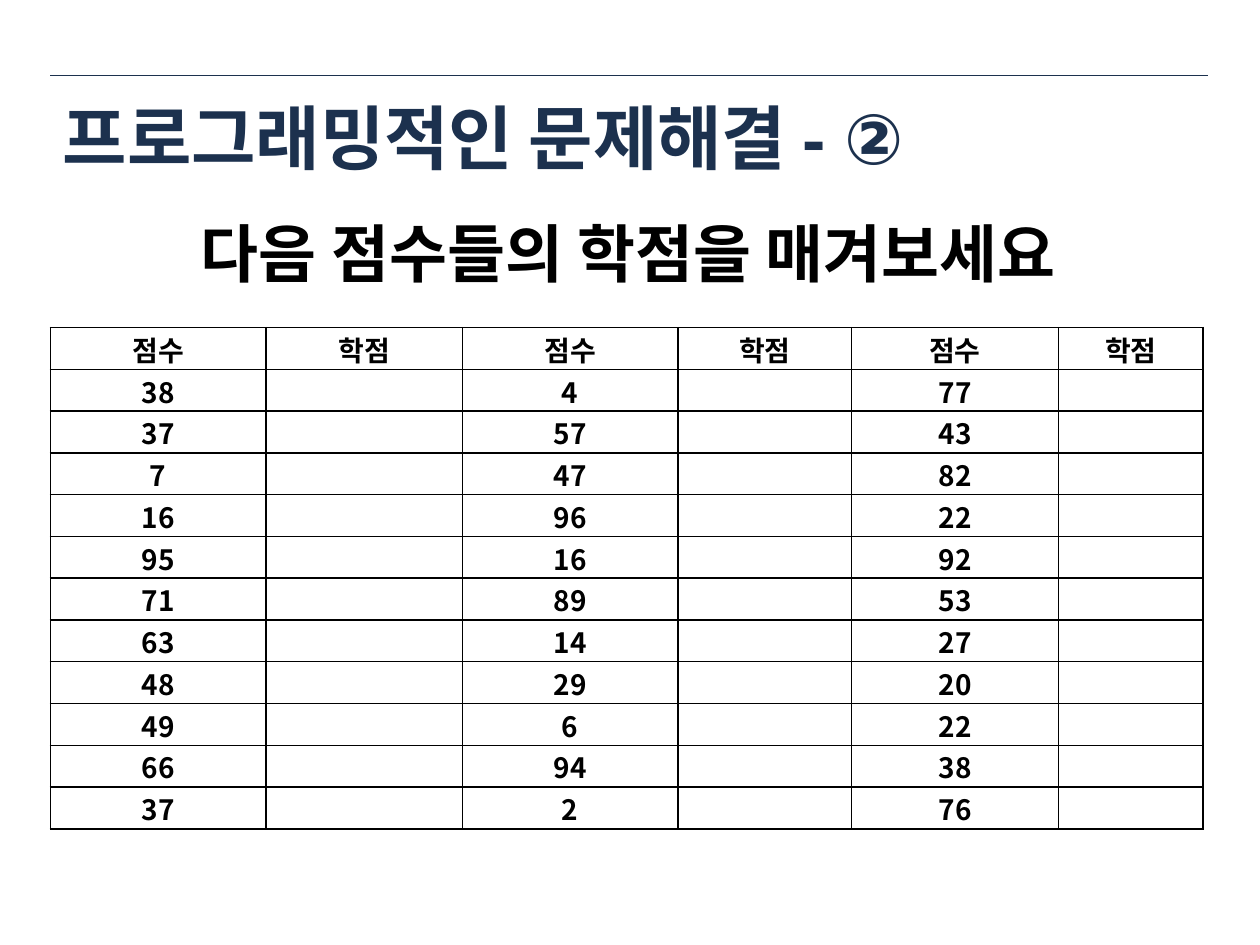
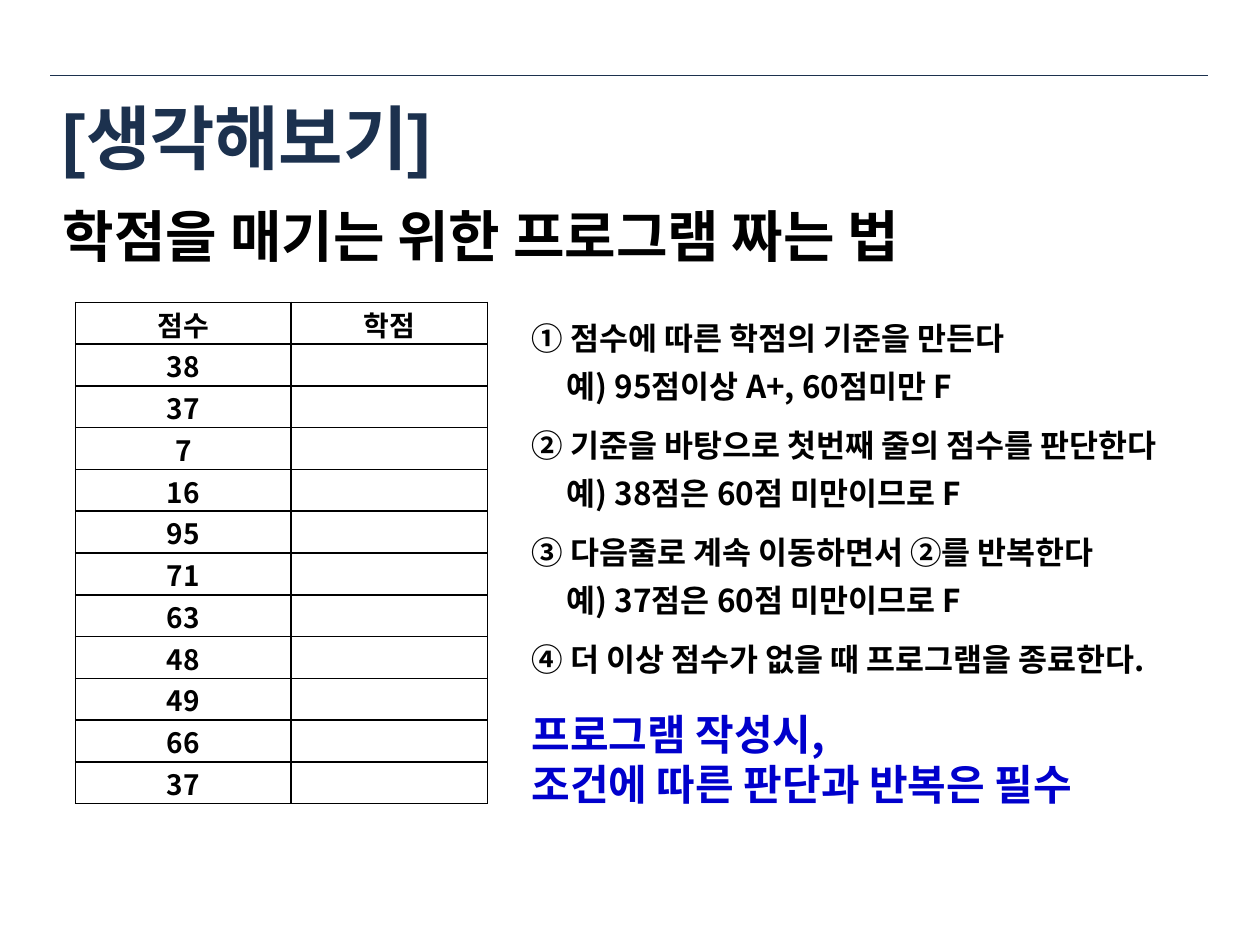
"""Builds two slides about grading a list of scores."""
from lxml.etree import SubElement
from pptx import Presentation
from pptx.dml.color import RGBColor
from pptx.enum.shapes import MSO_CONNECTOR as Link
from pptx.enum.text import MSO_ANCHOR as Anchor, PP_ALIGN as Align
from pptx.oxml.ns import qn
from pptx.util import Inches, Pt

NAVY, BLACK, BLUE = "1C314E", "000000", "0000CC"
SANS = "Noto Sans CJK KR"
LEFT, WIDE, ROW = 0.4, 9.18, 3.98 / 12
HEADS = ["점수", "학점"]
SCORES = [
    [38, 37, 7, 16, 95, 71, 63, 48, 49, 66, 37],
    [4, 57, 47, 96, 16, 89, 14, 29, 6, 94, 2],
    [77, 43, 82, 22, 92, 53, 27, 20, 22, 38, 76],
]
COLS = [1.71, 1.56, 1.71, 1.38, 1.64, 1.15]
STEPS = [
    ("① 점수에 따른 학점의 기준을 만든다", "예) 95점이상 A+, 60점미만 F"),
    ("② 기준을 바탕으로 첫번째 줄의 점수를 판단한다", "예) 38점은 60점 미만이므로 F"),
    ("③ 다음줄로 계속 이동하면서 ②를 반복한다", "예) 37점은 60점 미만이므로 F"),
    ("④ 더 이상 점수가 없을 때 프로그램을 종료한다.",),
]


def color(code):
    return RGBColor.from_string(code)


def style(para, size, code=BLACK, face=SANS, align=Align.LEFT, after=0):
    para.alignment = align
    para.space_after = Pt(after)
    for run in para.runs:
        font = run.font
        font.size, font.bold, font.name = Pt(size), True, face
        font.color.rgb = color(code)
        SubElement(font._element, qn("a:ea")).set("typeface", SANS)


def add_box(slide, x, y, w, h, anchor=Anchor.TOP):
    frame = slide.shapes.add_textbox(*map(Inches, (x, y, w, h))).text_frame
    frame.word_wrap = True
    frame.vertical_anchor = anchor
    return frame


def add_text(slide, text, spot, size, **look):
    para = add_box(slide, *spot).paragraphs[0]
    para.text = text
    style(para, size, **look)


def add_page(deck, title):
    slide = deck.slides.add_slide(deck.slide_layouts[6])
    ends = map(Inches, (LEFT, 0.6, 9.59, 0.6))
    rule = slide.shapes.add_connector(Link.STRAIGHT, *ends)
    rule.line.color.rgb = color(NAVY)
    rule.line.width = Pt(0.25)
    SubElement(rule._element.spPr, qn("a:effectLst"))
    add_text(slide, title, (LEFT, 0.62, WIDE, 0.93, Anchor.MIDDLE), 40,
             code=NAVY, face="Arial")
    return slide


def add_edges(cell):
    props = cell._tc.get_or_add_tcPr()
    for side in "LRTB":
        edge = SubElement(props, qn(f"a:ln{side}"), w=str(Pt(1)))
        fill = SubElement(edge, qn("a:solidFill"))
        SubElement(fill, qn("a:srgbClr"), val=BLACK)


def add_grid(slide, x, y, lists, cols):
    rows = [HEADS * len(lists)]
    rows += [[v for n in line for v in (n, "")] for line in zip(*lists)]
    size = (sum(cols), ROW * len(rows))
    table = slide.shapes.add_table(
        len(rows), len(cols), *map(Inches, (x, y, *size))).table
    table.first_row = table.horz_banding = False
    for col, width in zip(table.columns, cols):
        col.width = Inches(width)
    for r, line in enumerate(rows):
        table.rows[r].height = Inches(ROW)
        for c, value in enumerate(line):
            cell = table.cell(r, c)
            cell.margin_left = cell.margin_right = Inches(0.01)
            cell.margin_top, cell.margin_bottom = Inches(0.01), 0
            cell.vertical_anchor = Anchor.MIDDLE
            add_edges(cell)
            cell.fill.background()
            if value != "":
                cell.text_frame.text = str(value)
                style(cell.text_frame.paragraphs[0], 16, align=Align.CENTER)


def add_steps(slide, x, y, w, h):
    frame = add_box(slide, x, y, w, h)
    lines = [(text, i, i == len(step) - 1)
             for step in STEPS for i, text in enumerate(step)]
    for n, (text, level, last) in enumerate(lines):
        para = frame.add_paragraph() if n else frame.paragraphs[0]
        para.text = text
        style(para, 18, after=12 if last else 6)
        if level:
            para._p.get_or_add_pPr().set("marL", str(Inches(0.28)))


def main():
    deck = Presentation()
    deck.slide_width, deck.slide_height = Inches(10), Inches(7.5)

    quiz = add_page(deck, "프로그래밍적인 문제해결 - ②")
    add_text(quiz, "다음 점수들의 학점을 매겨보세요", (LEFT, 1.65, 9.17, 0.71), 36,
             align=Align.CENTER, after=6)
    add_grid(quiz, LEFT, 2.6, SCORES, COLS)

    think = add_page(deck, "[생각해보기]")
    add_text(think, "학점을 매기는 위한 프로그램 짜는 법", (LEFT, 1.55, 9.6, 0.64), 32,
             after=12)
    add_grid(think, 0.6, 2.4, SCORES[:1], COLS[:2])
    add_steps(think, 4.12, 2.48, 5.46, 2.98)
    add_text(think, "프로그램 작성시,\v조건에 따른 판단과 반복은 필수",
             (4.12, 5.57, 5.88, 0.91), 24, code=BLUE, after=12)
    deck.save("out.pptx")


if __name__ == "__main__":
    main()
